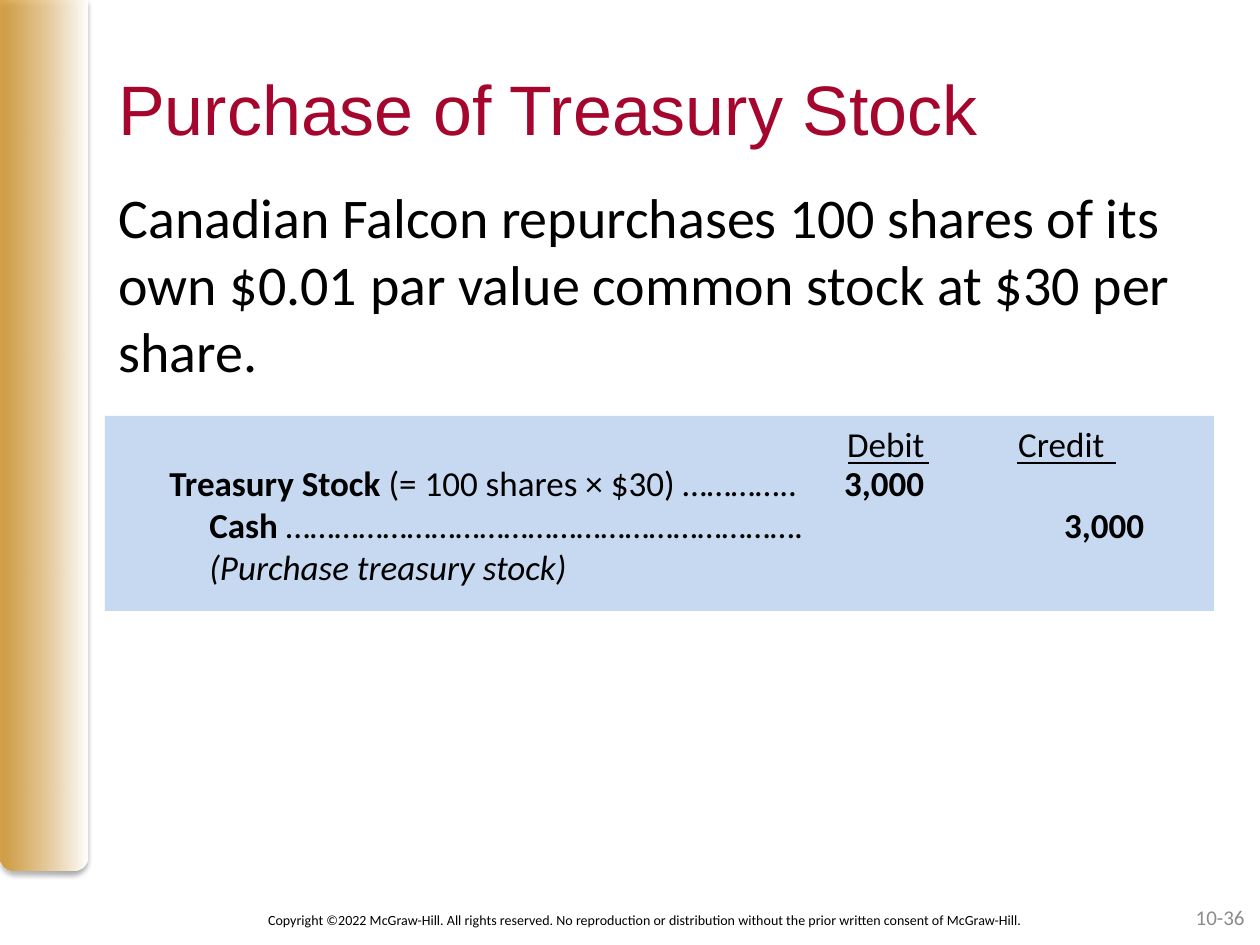
from lxml.etree import SubElement
from pptx import Presentation
from pptx.dml.color import RGBColor
from pptx.enum.shapes import MSO_CONNECTOR, MSO_SHAPE
from pptx.enum.text import MSO_ANCHOR as ANCHOR, PP_ALIGN as ALIGN
from pptx.oxml.ns import qn
from pptx.util import Emu, Pt

PX_PER_INCH = 126
GOLD, WHITE, BLACK = "D49323", "FFFFFF", "000000"
CRIMSON, GREY, PALE_BLUE = "A5062D", "8C8C8C", "C6D9F1"


def px(n):
    return Emu(round(n * 914400 / PX_PER_INCH))


def rgb(code):
    return RGBColor.from_string(code)


def add_xml(parent, tag, **attrs):
    return SubElement(parent, qn(tag), {k: str(v) for k, v in attrs.items()})


class SlideBuilder:
    """Holds the text style and the slide being drawn."""
    font, color, size = "Calibri", BLACK, 20

    def __init__(self, slide):
        self.slide = slide

    def text(self, paragraphs, x, y, w, h, *, size=None, font=None, color=None,
             align=ALIGN.LEFT, anchor=ANCHOR.TOP, tabs=(), indents=()):
        """Paragraphs are strings or lists of (text, style), style holding b and/or i."""
        tf = self.slide.shapes.add_textbox(px(x), px(y), px(w), px(h)).text_frame
        tf.word_wrap = True
        tf.vertical_anchor = anchor
        if isinstance(paragraphs, str):
            paragraphs = [paragraphs]
        for i, runs in enumerate(paragraphs):
            p = tf.paragraphs[0] if i == 0 else tf.add_paragraph()
            p.alignment = align
            pPr = p._p.get_or_add_pPr()
            if indents:
                pPr.set("marL", str(px(indents[i])))
            if tabs:
                tab_list = add_xml(pPr, "a:tabLst")
                for pos in tabs:
                    add_xml(tab_list, "a:tab", pos=px(pos), algn="r")
            for words, style in [(runs, "")] if isinstance(runs, str) else runs:
                r = p.add_run()
                r.text = words
                r.font.name = font or self.font
                r.font.size = Pt(size or self.size)
                r.font.color.rgb = rgb(color or self.color)
                r.font.bold = "b" in style
                r.font.italic = "i" in style

    def shape(self, kind, x, y, w, h, fill=None):
        s = self.slide.shapes.add_shape(kind, px(x), px(y), px(w), px(h))
        s.shadow.inherit = False
        s.line.fill.background()
        if fill:
            s.fill.solid()
            s.fill.fore_color.rgb = rgb(fill)
        return s

    def side_band(self, x, y, w, h):
        """Fading gold band with rounded bottom corners and a soft shadow."""
        s = self.shape(MSO_SHAPE.ROUND_2_SAME_RECTANGLE, x, y, w, h)
        spPr = s._element.spPr
        spPr.find(qn("a:xfrm")).set("flipV", "1")
        s.fill.gradient()
        s.fill.gradient_angle = 0
        for stop, code in zip(s.fill.gradient_stops, (GOLD, WHITE)):
            stop.color.rgb = rgb(code)
        add_xml(spPr.find(".//" + qn("a:gs"))[0], "a:alpha", val=80000)
        shadow = add_xml(spPr.find(qn("a:effectLst")), "a:outerShdw", blurRad=Pt(3.1),
                         dist=Pt(1.8), dir=5400000, rotWithShape=0)
        add_xml(add_xml(shadow, "a:srgbClr", val=BLACK), "a:alpha", val=35000)

    def rule(self, x1, x2, y):
        c = self.slide.shapes.add_connector(MSO_CONNECTOR.STRAIGHT,
                                            px(x1), px(y), px(x2), px(y))
        c.line.color.rgb = rgb(BLACK)
        c.line.width = Pt(1)
        add_xml(c._element.spPr, "a:effectLst")


def main():
    prs = Presentation()
    prs.slide_width, prs.slide_height = px(1260), px(945)
    b = SlideBuilder(prs.slides.add_slide(prs.slide_layouts[6]))

    b.side_band(0, 0, 87, 871)
    b.text("Purchase of Treasury Stock", 106, 59, 1134, 158,
           size=40, font="Arial", color=CRIMSON)
    b.text("Copyright ©2022 McGraw-Hill. All rights reserved. No reproduction or "
           "distribution without the prior written consent of McGraw-Hill.",
           195, 895, 901, 50, size=8, align=ALIGN.CENTER, anchor=ANCHOR.MIDDLE)
    b.text("10-36", 963, 892, 294, 50, size=12, color=GREY,
           align=ALIGN.RIGHT, anchor=ANCHOR.MIDDLE)

    b.shape(MSO_SHAPE.RECTANGLE, 105, 416, 1109, 195, PALE_BLUE)
    inset = 13
    header_x, entry_x = 126, 157
    amount_edges = (925, 1105)  # right edges of the debit and credit columns

    def tabs_from(x):
        return [edge - x - inset for edge in amount_edges]

    b.text("\tDebit\tCredit", header_x, 416, 1058, 55, tabs=tabs_from(header_x))
    b.text([
        [("Treasury Stock ", "b"), ("(= 100 shares × $30) …………..", ""), ("\t3,000", "b")],
        [("Cash ", "b"), ("……………………………………………………….", ""), ("\t\t3,000", "b")],
        [("(Purchase treasury stock)", "i")],
    ], entry_x, 455, 1058, 140, tabs=tabs_from(entry_x), indents=(0, 40, 40))
    for x1, x2 in ((848, 929), (1017, 1116)):
        b.rule(x1, x2, 463)

    b.text("Canadian Falcon repurchases 100 shares of its own $0.01 par value "
           "common stock at $30 per share.", 106, 176, 1096, 217, size=32)
    prs.save("out.pptx")


if __name__ == "__main__":
    main()
